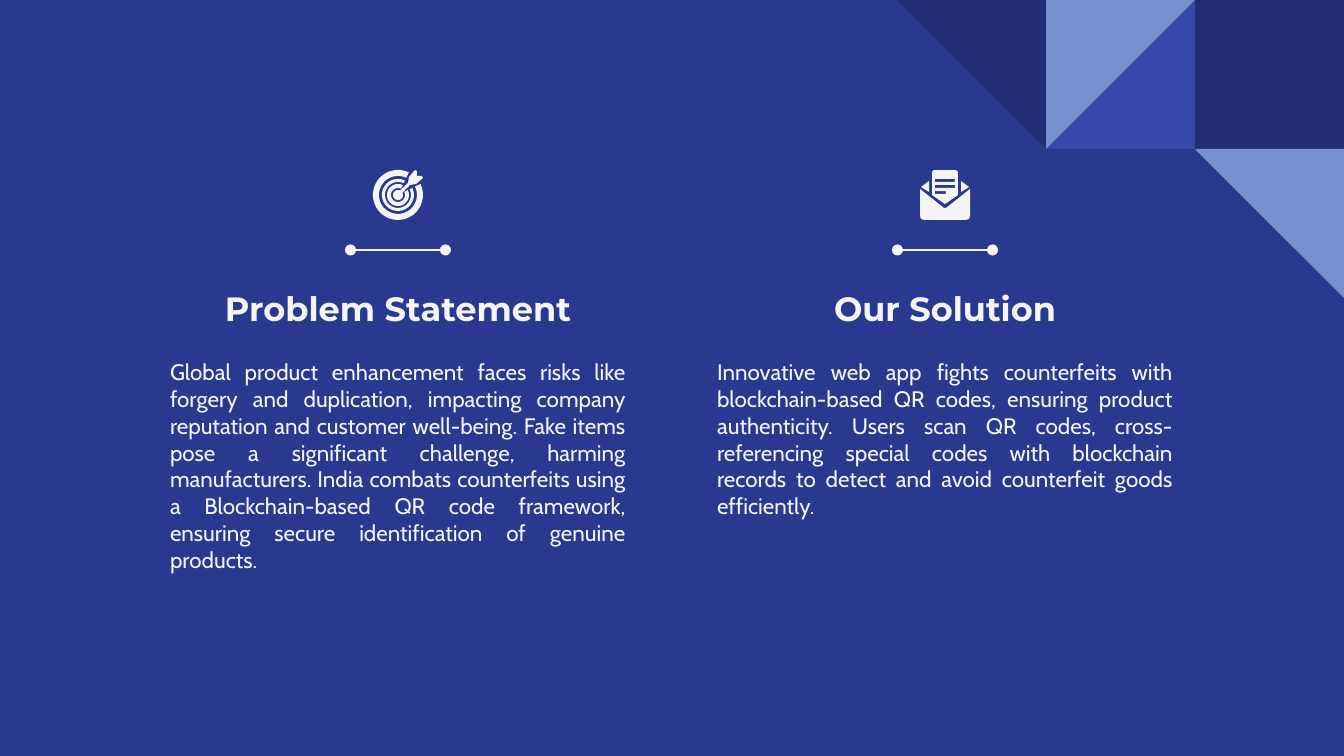
from math import cos, radians, sin

from lxml import etree
from pptx import Presentation
from pptx.dml.color import RGBColor
from pptx.enum.shapes import MSO_CONNECTOR, MSO_SHAPE
from pptx.enum.text import MSO_ANCHOR, PP_ALIGN
from pptx.oxml.ns import qn
from pptx.util import Emu, Pt

SQUARE, TRIANGLE = MSO_SHAPE.RECTANGLE, MSO_SHAPE.RIGHT_TRIANGLE
STRAIGHT = MSO_CONNECTOR.STRAIGHT
TOP, BOTTOM = MSO_ANCHOR.TOP, MSO_ANCHOR.BOTTOM
CENTER, JUSTIFY = PP_ALIGN.CENTER, PP_ALIGN.JUSTIFY

EMU_PER_PX = 914400 / 134.4
SLIDE_W, SLIDE_H = 1344, 756
BLUE, NAVY, INDIGO, SKY, WHITE = "2A3990", "212D74", "3949AB", "7890CD", "F5F5F6"

# Corner pattern: column and row counted from the right edge and the top
TILE = 149
TILES = [
    (SQUARE, 1, 0, 0, NAVY),
    (TRIANGLE, 2, 0, 270, INDIGO),
    (TRIANGLE, 2, 0, 90, SKY),
    (TRIANGLE, 3, 0, 180, NAVY),
    (TRIANGLE, 1, 1, 180, SKY),
]

# Columns
COLUMN_LEFT, COLUMN_W, COLUMN_STEP = 157, 482, 547
INSET, BODY_INSET_TOP = 13, 40
ICON_Y, RULE_Y, RULE_W = 195, 250, 95
HEADING_TOP, HEADING_H, BODY_TOP = 274, 67, 318
HEADING_FONT = {"name": "Montserrat", "size": Pt(18), "bold": True}
BODY_FONT = {"name": "Cabin", "size": Pt(12)}

PROBLEM = (
    "Global product enhancement faces risks like forgery and duplication, "
    "impacting company reputation and customer well-being. Fake items pose a "
    "significant challenge, harming manufacturers. India combats counterfeits "
    "using a Blockchain-based QR code framework, ensuring secure "
    "identification of genuine products."
)
SOLUTION = (
    "Innovative web app fights counterfeits with blockchain-based QR codes, "
    "ensuring product authenticity. Users scan QR codes, cross-referencing "
    "special codes with blockchain records to detect and avoid counterfeit "
    "goods efficiently."
)


def px(length):
    return Emu(round(length * EMU_PER_PX))


def color(hex_code):
    return RGBColor.from_string(hex_code)


def paint(shape, hex_code):
    shape.shadow.inherit = False
    shape.fill.solid()
    shape.fill.fore_color.rgb = color(hex_code)
    shape.line.fill.background()


def add_tile(slide, kind, column, row, rotation, hex_code):
    tile = slide.shapes.add_shape(
        kind, px(SLIDE_W - column * TILE), px(row * TILE), px(TILE), px(TILE))
    tile.rotation = rotation
    paint(tile, hex_code)


def add_text(slide, text, box, font, align, anchor=TOP, inset_top=INSET):
    frame = slide.shapes.add_textbox(*map(px, box)).text_frame
    frame.word_wrap = True
    frame.vertical_anchor = anchor
    frame.margin_left = frame.margin_right = frame.margin_bottom = px(INSET)
    frame.margin_top = px(inset_top)
    paragraph = frame.paragraphs[0]
    paragraph.alignment = align
    run = paragraph.add_run()
    run.text = text
    for attribute, value in font.items():
        setattr(run.font, attribute, value)
    run.font.color.rgb = color(WHITE)


def add_dotted_rule(slide, center):
    left, right = center - RULE_W / 2, center + RULE_W / 2
    rule = slide.shapes.add_connector(
        STRAIGHT, px(left), px(RULE_Y), px(right), px(RULE_Y))
    rule.line.color.rgb = color(WHITE)
    rule.line.width = Pt(0.75)
    outline = rule.line._get_or_add_ln()
    for end in ("a:headEnd", "a:tailEnd"):
        etree.SubElement(outline, qn(end), type="oval")
    etree.SubElement(rule._element.spPr, qn("a:effectLst"))


def add_outline(group, center, *contours):
    """Fill closed contours given in px around the icon's centre."""
    placed = [[(px(center + x), px(ICON_Y + y)) for x, y in contour]
              for contour in contours]
    builder = group.shapes.build_freeform(*placed[0][0])
    builder.add_line_segments(placed[0][1:])
    for contour in placed[1:]:
        builder.move_to(*contour[0])
        builder.add_line_segments(contour[1:])
    paint(builder.convert_to_shape(), WHITE)


def open_arc(radius):
    """Clockwise arc that leaves a gap at the upper right for the dart."""
    return [(radius * cos(radians(a)), radius * sin(radians(a)))
            for a in range(-26, 297, 7)]


def add_target_icon(slide, center):
    group = slide.shapes.add_group_shape()
    for outer, inner in ((16, 13), (11, 7), (25, 19)):
        add_outline(group, center, open_arc(outer) + open_arc(inner)[::-1])
    # The dart is symmetric about its shaft
    half = [(12, -10), (18, -11), (25, -17), (24, -19), (19, -19)]
    mirrored = [(-y, -x) for x, y in half]
    add_outline(group, center, open_arc(5) + mirrored + half[::-1])


def add_letter_icon(slide, center):
    group = slide.shapes.add_group_shape()
    add_outline(group, center, [
        (-25, -6), (-25, 21), (-24, 24), (-21, 25), (21, 25), (24, 24),
        (25, 21), (25, -6), (1, 13), (-1, 13)])
    for side in (1, -1):
        add_outline(group, center,
                    [(16 * side, -14), (16 * side, -3), (24 * side, -8)])
    sheet = [(-13, 0), (0, 9), (13, 0), (13, -23), (11, -25), (-11, -25), (-13, -23)]
    text_lines = [
        [(-10, top), (right, top), (right, top + 3), (-10, top + 3)]
        for top, right in ((-16, 10), (-10, 10), (-4, 1))]
    add_outline(group, center, sheet, *text_lines)


def add_column(slide, index, heading, body, body_height, add_icon):
    left = COLUMN_LEFT + index * COLUMN_STEP
    center = left + COLUMN_W / 2
    add_text(slide, heading, (left, HEADING_TOP, COLUMN_W, HEADING_H),
             HEADING_FONT, CENTER, BOTTOM)
    add_dotted_rule(slide, center)
    add_icon(slide, center)
    add_text(slide, body, (left, BODY_TOP, COLUMN_W, body_height),
             BODY_FONT, JUSTIFY, inset_top=BODY_INSET_TOP)


def main():
    deck = Presentation()
    deck.slide_width, deck.slide_height = px(SLIDE_W), px(SLIDE_H)
    slide = deck.slides.add_slide(deck.slide_layouts[6])
    slide.background.fill.solid()
    slide.background.fill.fore_color.rgb = color(BLUE)

    # Corner pattern
    for tile in TILES:
        add_tile(slide, *tile)

    # Problem and solution
    columns = [
        ("Problem Statement", PROBLEM, 293, add_target_icon),
        ("Our Solution", SOLUTION, 195, add_letter_icon),
    ]
    for index, column in enumerate(columns):
        add_column(slide, index, *column)

    deck.save("out.pptx")


if __name__ == "__main__":
    main()
